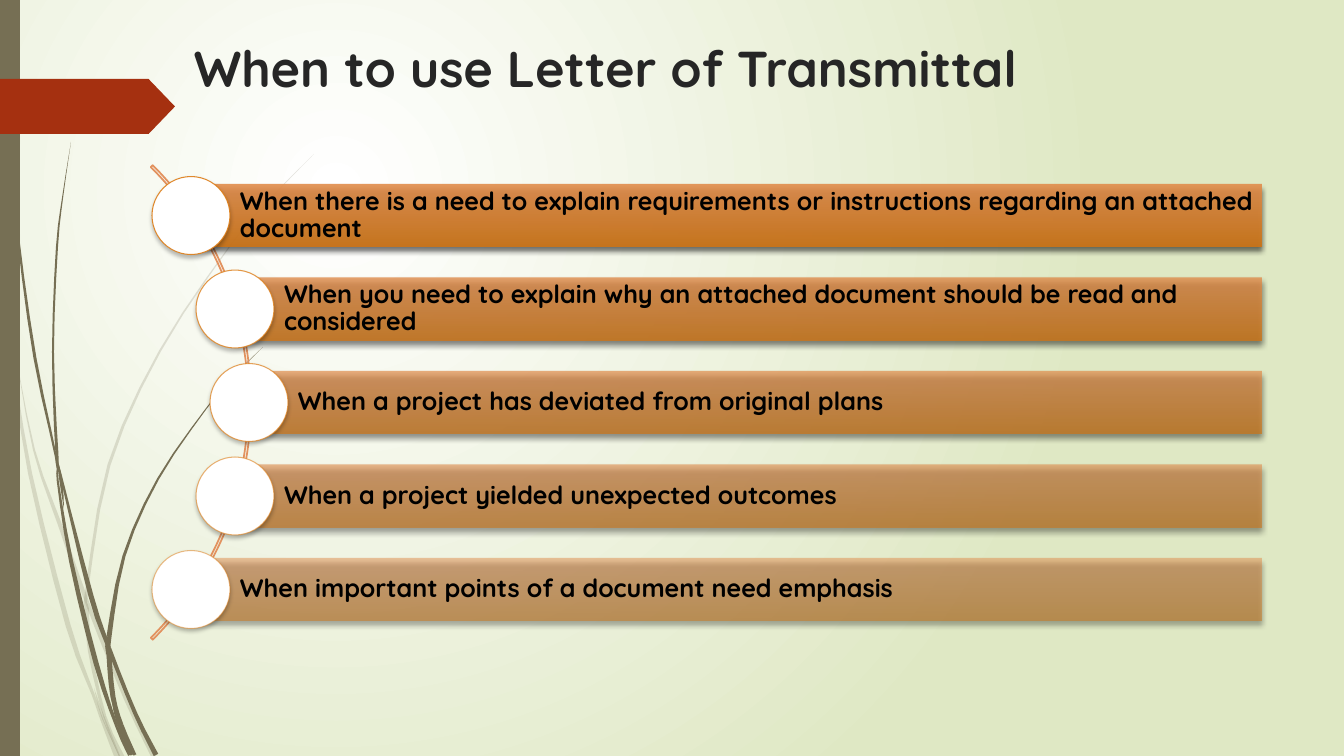
import math
from dataclasses import dataclass

import pptx
import pptx.dml.color
import pptx.enum.shapes
import pptx.enum.text
import pptx.oxml
import pptx.oxml.ns
import pptx.util

EMU_PER_PIXEL = 914400 / 100.8
FONT = "Quicksand"
OLIVE = "766F54"
A_NS = pptx.oxml.ns.nsdecls("a")
SHAPE = pptx.enum.shapes.MSO_SHAPE
ANCHOR = pptx.enum.text.MSO_ANCHOR
CURVE_STEPS = 3


@dataclass(frozen=True)
class Reason:
    """One bar of the list, with the place of its left end and its opacity."""
    text: str
    left: int
    opacity: int


@dataclass(frozen=True)
class Blade:
    """A blade of grass: spine points (x, y, width), parted at the joints."""
    opacity: int
    spine: tuple
    joints: tuple = ()


REASONS = (
    Reason("When there is a need to explain requirements or instructions "
           "regarding an attached document", 191, 90),
    Reason("When you need to explain why an attached document should be "
           "read and considered", 235, 80),
    Reason("When a project has deviated from original plans", 249, 70),
    Reason("When a project yielded unexpected outcomes", 235, 60),
    Reason("When important points of a document need emphasis", 191, 50),
)
BAR_TOP, BAR_PITCH, BAR_HEIGHT, BAR_RIGHT = 184, 93.5, 63, 1262
MARKER_SIZE = 78

GRASS = (
    Blade(20, ((0, 293, 4), (11, 353, 2), (30, 473, 4), (68, 625, 5),
               (93, 694, 3), (102, 720, 3), (117, 757, 5)), (1, 5)),
    Blade(20, ((15, 350, 0), (34, 450, 2), (60, 525, 4), (87, 602, 4),
               (126, 699, 4), (154, 757, 5)), (3,)),
    Blade(20, ((314, 154, 0), (270, 199, 1), (230, 246, 1), (160, 351, 2),
               (109, 465, 3), (87, 589, 3), (87, 609, 4), (90, 651, 4),
               (105, 717, 3), (122, 757, 5)), (5, 6, 8)),
    Blade(20, ((94, 688, 0), (103, 717, 3), (120, 757, 1))),
    Blade(100, ((4, 0, 1), (8, 110, 1), (18, 235, 2), (35, 358, 3),
                (56, 457, 2), (58, 483, 2), (71, 561, 4), (96, 663, 5),
                (117, 727, 3), (130, 755, 4)), (5, 8)),
    Blade(100, ((71, 142, 0), (63, 195, 1), (57, 247, 2), (53, 352, 2),
                (57, 454, 3), (61, 476, 2), (91, 596, 5), (109, 648, 4),
                (135, 713, 4), (156, 755, 5)), (5, 7)),
    Blade(100, ((263, 347, 0), (233, 377, 1), (206, 409, 1), (158, 479, 2),
                (124, 556, 3), (109, 637, 5), (109, 655, 5), (113, 697, 5),
                (122, 725, 3), (135, 755, 3)), (5, 6, 8)),
    Blade(100, ((56, 453, 0), (61, 481, 3), (64, 509, 0))),
    Blade(100, ((111, 697, 0), (119, 722, 5), (132, 755, 3))),
)


def px(pixels: float) -> int:
    """Turn pixels into EMU."""
    return round(pixels * EMU_PER_PIXEL)


def rgb(hex_color: str) -> pptx.dml.color.RGBColor:
    """Turn a hex string into a colour."""
    return pptx.dml.color.RGBColor.from_string(hex_color)


def set_opacity(parent, percent: int) -> None:
    """Give the first colour below an XML element an opacity."""
    color = parent.find(".//" + pptx.oxml.ns.qn("a:srgbClr"))
    color.append(pptx.oxml.parse_xml(f'<a:alpha {A_NS} val="{percent * 1000}"/>'))


def set_gradient(fill, owner, first: str, last: str, direction: str,
                 opacity: int = 100) -> None:
    """Fill with two colours in the direction given as XML."""
    fill.gradient()
    old = owner.find(".//" + pptx.oxml.ns.qn("a:gradFill"))
    stops = "".join(
        f'<a:gs pos="{position}"><a:srgbClr val="{color}">'
        f'<a:alpha val="{opacity * 1000}"/></a:srgbClr></a:gs>'
        for position, color in ((0, first), (100000, last)))
    old.getparent().replace(old, pptx.oxml.parse_xml(
        f'<a:gradFill {A_NS} rotWithShape="1"><a:gsLst>{stops}</a:gsLst>'
        f'{direction}</a:gradFill>'))


def add_drop_shadow(shape, opacity: int, blur: int, distance: int) -> None:
    """Add a black shadow below a shape, with lengths in points."""
    effects = shape._element.spPr.find(pptx.oxml.ns.qn("a:effectLst"))
    effects.append(pptx.oxml.parse_xml(
        f'<a:outerShdw {A_NS} blurRad="{pptx.util.Pt(blur)}" '
        f'dist="{pptx.util.Pt(distance)}" dir="5400000" rotWithShape="0">'
        f'<a:srgbClr val="000000"><a:alpha val="{opacity * 1000}"/></a:srgbClr>'
        '</a:outerShdw>'))


def add_plain(slide, preset, left: float, top: float, width: float,
              height: float, color: str | None = None):
    """Add a preset shape without line or shadow, filled if a colour is given."""
    shape = slide.shapes.add_shape(preset, px(left), px(top), px(width), px(height))
    shape.shadow.inherit = False
    shape.line.fill.background()
    if color is None:
        shape.fill.background()
    else:
        shape.fill.solid()
        shape.fill.fore_color.rgb = rgb(color)
    return shape


def set_outline(shape, color: str, points: float) -> None:
    """Give a shape a solid line."""
    shape.line.color.rgb = rgb(color)
    shape.line.width = pptx.util.Pt(points)


def add_words(slide, text: str, box: tuple, size: int, color: str, anchor):
    """Add a text box with one bold paragraph and return its frame."""
    frame = slide.shapes.add_textbox(*map(px, box)).text_frame
    frame.word_wrap = True
    frame.vertical_anchor = anchor
    paragraph = frame.paragraphs[0]
    paragraph.text = text
    font = paragraph.font
    font.name, font.size, font.bold = FONT, pptx.util.Pt(size), True
    font.color.rgb = rgb(color)
    return frame


def smooth(spine: tuple) -> list:
    """Run a Catmull-Rom curve through the points of a spine."""
    padded = (spine[0], *spine, spine[-1])
    curve = []
    for a, b, c, d in zip(padded, padded[1:], padded[2:], padded[3:]):
        for step in range(CURVE_STEPS):
            t = step / CURVE_STEPS
            curve.append(tuple(
                q + t * (r - p + t * (2 * p - 5 * q + 4 * r - s
                                      + t * (3 * (q - r) + s - p))) / 2
                for p, q, r, s in zip(a, b, c, d)))
    return curve + [spine[-1]]


def add_blade(slide, blade: Blade) -> None:
    """Draw a blade of grass around its spine, one outline between joints."""
    curve = smooth(blade.spine)
    left_edge, right_edge = [], []
    for before, (x, y, width), after in zip(curve[:1] + curve, curve,
                                            curve[1:] + curve[-1:]):
        dx, dy = after[0] - before[0], after[1] - before[1]
        half = max(width, 0) / 2 / math.hypot(dx, dy)
        left_edge.append((px(x - dy * half), px(y + dx * half)))
        right_edge.append((px(x + dy * half), px(y - dx * half)))
    ends = (0, *blade.joints, len(blade.spine) - 1)
    for start, end in zip(ends, ends[1:]):
        part = slice(start * CURVE_STEPS, end * CURVE_STEPS + 1)
        outline = left_edge[part] + right_edge[part][::-1]
        builder = slide.shapes.build_freeform(*outline[0])
        builder.add_line_segments(outline[1:], close=True)
        grass = builder.convert_to_shape()
        grass.shadow.inherit = False
        grass.line.fill.background()
        grass.fill.solid()
        grass.fill.fore_color.rgb = rgb(OLIVE)
        set_opacity(grass._element.spPr, blade.opacity)


def add_reason(slide, reason: Reason, top: float) -> None:
    """Draw a bar with its text and the round marker at its left end."""
    box = (reason.left, top, BAR_RIGHT - reason.left, BAR_HEIGHT)
    bar = add_plain(slide, SHAPE.RECTANGLE, *box)
    set_gradient(bar.fill, bar._element.spPr, "E18D4C", "CF7516",
                 '<a:lin ang="5400000" scaled="0"/>', reason.opacity)
    add_drop_shadow(bar, 60, 4, 3)
    frame = add_words(slide, reason.text, box, 18, "000000", ANCHOR.MIDDLE)
    frame.margin_left = px(49)
    frame.margin_top = frame.margin_right = frame.margin_bottom = px(5)
    frame.paragraphs[0].line_spacing = 0.9

    marker = add_plain(slide, SHAPE.OVAL, reason.left - MARKER_SIZE / 2,
                       top + (BAR_HEIGHT - MARKER_SIZE) / 2,
                       MARKER_SIZE, MARKER_SIZE, "FFFFFF")
    set_outline(marker, "DE7E18", 0.75)
    set_opacity(marker.line._get_or_add_ln(), reason.opacity)
    add_drop_shadow(marker, 25, 3, 2)


def main() -> None:
    """Build the slide and save it."""
    deck = pptx.Presentation()
    deck.slide_width, deck.slide_height = px(1344), px(756)
    slide = deck.slides.add_slide(deck.slide_layouts[6])
    set_gradient(slide.background.fill, slide._element, "FFFFFF", "DFE8C4",
                 '<a:path path="circle"><a:fillToRect l="50000" t="50000" '
                 'r="100000" b="100000"/></a:path>')
    for blade in GRASS:
        add_blade(slide, blade)
    add_plain(slide, SHAPE.RECTANGLE, 0, 0, 20, 756, OLIVE)
    ribbon = add_plain(slide, SHAPE.PENTAGON, 0, 79, 175, 55, "A53010")
    ribbon.adjustments[0] = 0.48
    add_words(slide, "When to use Letter of Transmittal", (184, 32, 983, 65),
              36, "262626", ANCHOR.TOP)

    arc = add_plain(slide, SHAPE.BLOCK_ARC, -420, 67, 671, 671)
    for index, value in enumerate((189, 27, 0.004)):
        arc.adjustments[index] = value
    set_outline(arc, "E2925F", 1.25)
    for row, reason in enumerate(REASONS):
        add_reason(slide, reason, BAR_TOP + row * BAR_PITCH)
    deck.save("out.pptx")


main()
